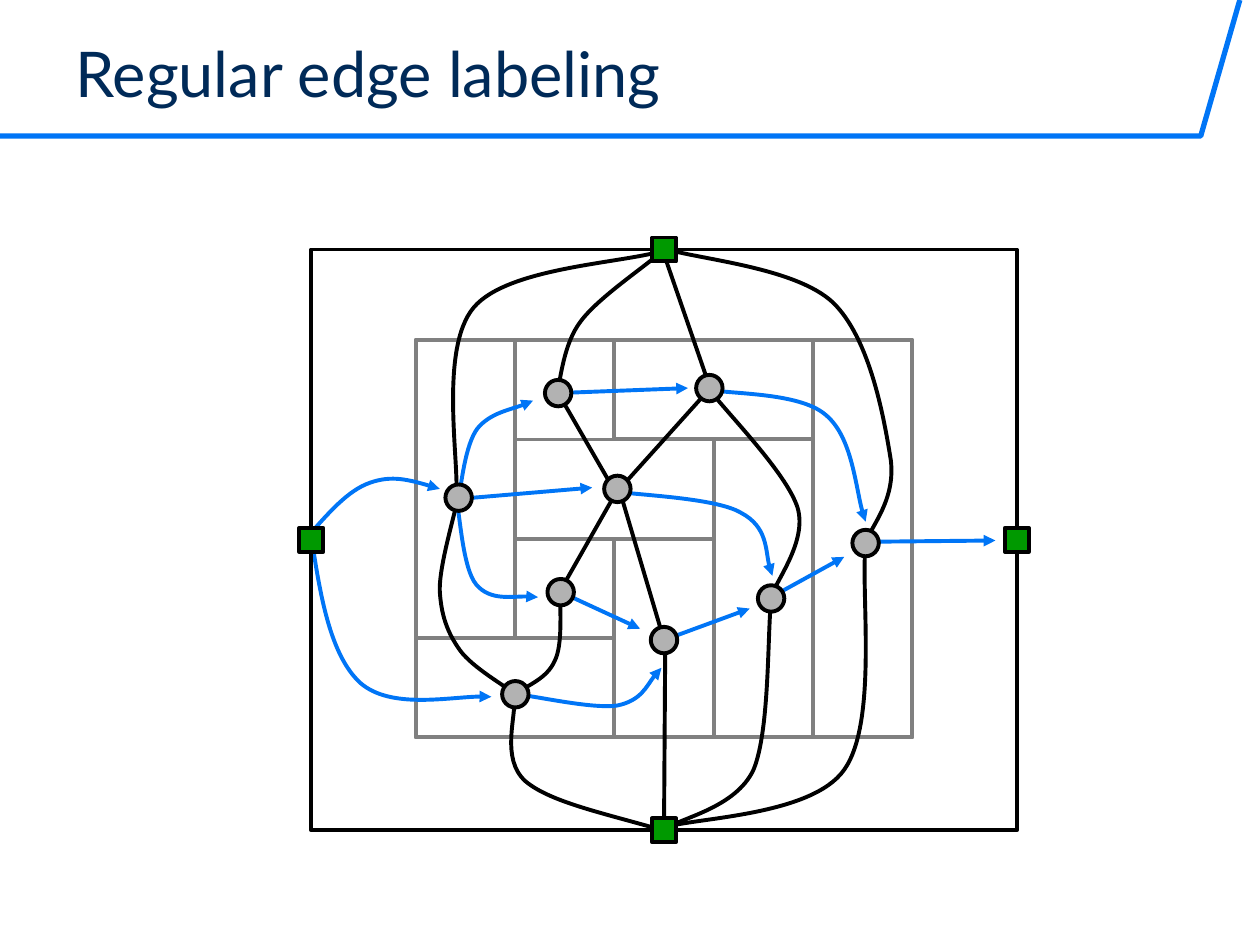
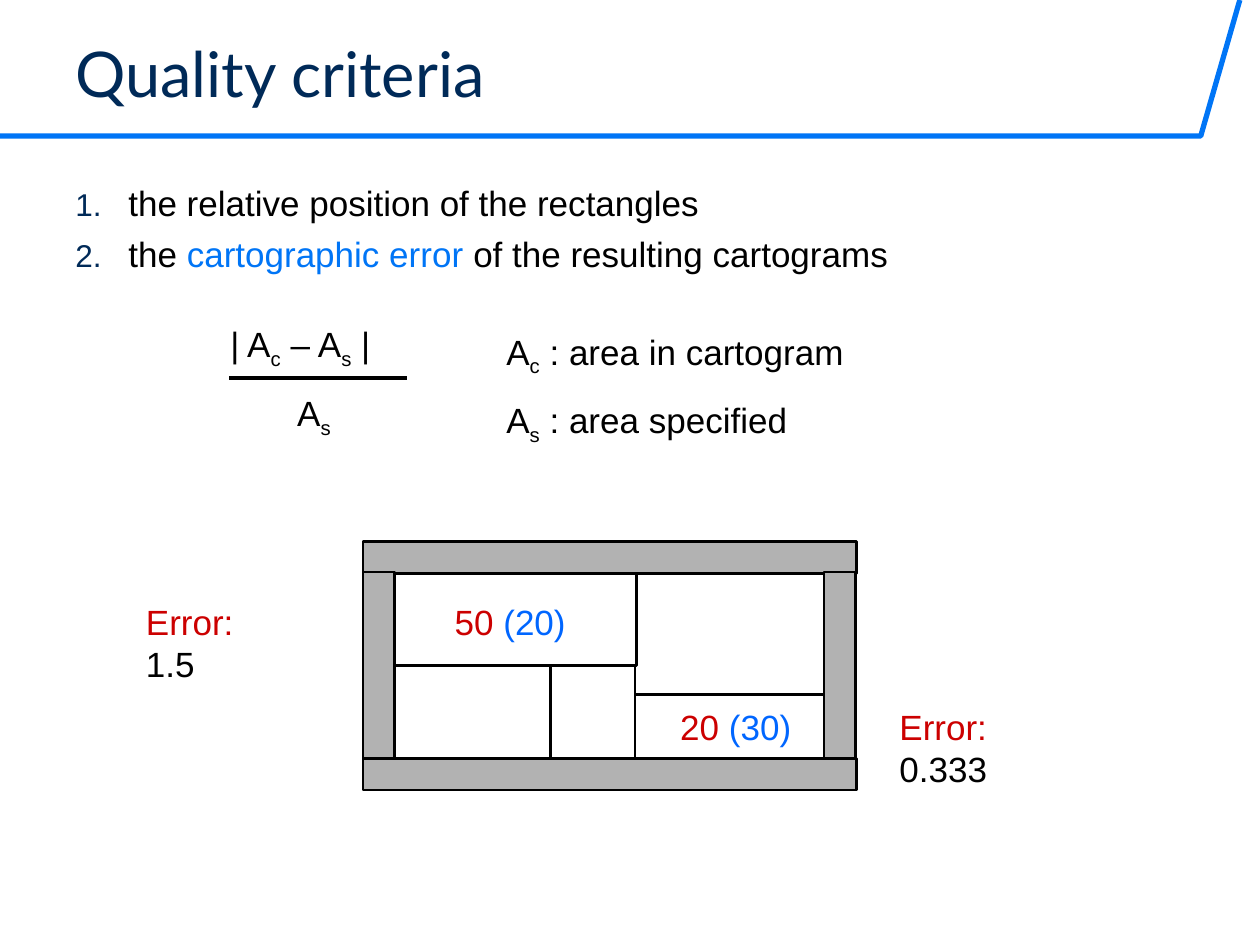
from typing import NamedTuple

from lxml import etree
from pptx import Presentation
from pptx import util as u
from pptx.dml.color import RGBColor
from pptx.enum import shapes, text
from pptx.oxml.ns import qn

NAVY = RGBColor(0x00, 0x2A, 0x58)
BLUE = RGBColor(0x00, 0x75, 0xF6)
SPECIFIED_BLUE = RGBColor(0x00, 0x66, 0xFF)
RED = RGBColor(0xCC, 0x00, 0x00)
GREEN = RGBColor(0x00, 0x99, 0x00)
BLACK = RGBColor(0x00, 0x00, 0x00)
WHITE = RGBColor(0xFF, 0xFF, 0xFF)
GRAY = RGBColor(0x80, 0x80, 0x80)
SILVER = RGBColor(0xB2, 0xB2, 0xB2)

TITLE_FONT = {"name": "Lato", "size": u.Pt(36)}
BODY_FONT = {"name": "Arial", "size": u.Pt(20)}
RECT = shapes.MSO_SHAPE.RECTANGLE
OVAL = shapes.MSO_SHAPE.OVAL
BREAK = "\v"

Point = tuple[float, float]


class Box(NamedTuple):
    left: float
    top: float
    width: float
    height: float

    def lengths(self) -> list[u.Inches]:
        return [u.Inches(side) for side in self]


class Run(NamedTuple):
    words: str
    color: RGBColor = BLACK
    subscript: bool = False


class Label(NamedTuple):
    box: Box
    paragraphs: list[list[Run]]
    gap: int = 0
    numbered: bool = False


# Regular edge labeling
DUAL = Box(3.3, 2.7, 3.94, 3.15)
CELL = DUAL.width / 5
# column, row, columns spanned, rows spanned
REGIONS = [
    (0, 3, 2, 1), (0, 0, 1, 3), (1, 2, 1, 1), (2, 2, 1, 2),
    (3, 1, 1, 3), (4, 0, 1, 4), (1, 1, 2, 1), (2, 0, 2, 1),
]
OUTER = Box(2.47, 1.98, 5.6, 4.61)
NODE_SIZE, GATE_SIZE = 0.21, 0.19
NODES = [
    (4.09, 5.51), (4.45, 4.7), (3.64, 3.95), (4.43, 3.12), (5.63, 3.08),
    (6.87, 4.31), (6.12, 4.75), (5.27, 5.08), (4.9, 3.88),
]
# Two points make a straight edge; otherwise a start and Bezier triples.
VERTICAL_EDGES = [
    [(5.26, 6.57), (5.5, 6.49), (6.44, 6.48), (6.7, 6.11),
     (6.97, 5.73), (6.83, 4.7), (6.87, 4.33)],
    [(5.3, 6.57), (5.41, 6.49), (5.84, 6.41), (5.98, 6.11),
     (6.11, 5.8), (6.09, 5.04), (6.12, 4.76)],
    [(5.27, 6.61), (5.28, 5.08)],
    [(5.26, 6.59), (4.82, 6.46), (4.37, 6.37), (4.17, 6.2),
     (3.97, 6.02), (4.1, 5.68), (4.08, 5.54)],
    [(4.09, 5.51), (4.02, 5.45), (3.75, 5.3), (3.65, 5.16), (3.55, 5.02),
     (3.5, 4.88), (3.49, 4.68), (3.49, 4.48), (3.6, 4.12), (3.63, 3.97)],
    [(4.08, 5.51), (4.21, 5.43), (4.34, 5.38), (4.4, 5.25),
     (4.47, 5.12), (4.44, 4.83), (4.45, 4.72)],
    [(6.12, 4.74), (6.15, 4.62), (6.41, 4.3), (6.33, 4.03),
     (6.24, 3.75), (5.77, 3.28), (5.62, 3.08)],
    [(4.88, 3.9), (4.43, 3.12)],
    [(4.44, 4.7), (4.9, 3.89)],
    [(5.27, 5.08), (4.92, 3.9)],
    [(4.9, 3.9), (5.62, 3.1)],
    [(6.88, 4.29), (6.91, 4.18), (7.11, 3.97), (7.07, 3.65), (7.02, 3.34),
     (6.91, 2.69), (6.61, 2.4), (6.31, 2.12), (5.55, 2.06), (5.26, 1.97)],
    [(5.64, 3.09), (5.26, 1.99)],
    [(4.42, 3.12), (4.45, 3.02), (4.47, 2.73), (4.61, 2.55),
     (4.75, 2.36), (5.13, 2.11), (5.26, 1.99)],
    [(3.62, 3.94), (3.65, 3.69), (3.48, 2.77), (3.76, 2.44),
     (4.03, 2.12), (4.94, 2.09), (5.26, 1.99)],
]
HORIZONTAL_ARROWS = [
    [(4.09, 5.51), (4.23, 5.52), (4.7, 5.63), (4.9, 5.6),
     (5.09, 5.56), (5.18, 5.36), (5.25, 5.3)],
    [(4.88, 3.9), (5.05, 3.93), (5.68, 3.95), (5.88, 4.07),
     (6.09, 4.18), (6.08, 4.47), (6.13, 4.57)],
    [(6.87, 4.3), (7.9, 4.29)],
    [(4.43, 4.69), (5.08, 4.99)],
    [(4.43, 3.12), (5.46, 3.08)],
    [(5.27, 5.08), (5.95, 4.83)],
    [(6.12, 4.74), (6.7, 4.42)],
    [(5.62, 3.09), (5.78, 3.13), (6.34, 3.11), (6.55, 3.29),
     (6.76, 3.46), (6.8, 3.97), (6.87, 4.14)],
    [(3.64, 3.95), (3.66, 3.86), (3.69, 3.53), (3.79, 3.4),
     (3.89, 3.28), (4.14, 3.23), (4.23, 3.18)],
    [(3.64, 3.96), (4.7, 3.87)],
    [(3.62, 3.96), (3.65, 4.07), (3.67, 4.51), (3.78, 4.64),
     (3.89, 4.77), (4.17, 4.72), (4.27, 4.74)],
    [(2.44, 4.26), (2.6, 4.08), (2.76, 3.89), (2.94, 3.83),
     (3.11, 3.77), (3.3, 3.82), (3.49, 3.88)],
    [(2.47, 4.25), (2.54, 4.72), (2.62, 5.2), (2.86, 5.42),
     (3.1, 5.63), (3.68, 5.51), (3.9, 5.53)],
]

# Quality criteria
SUB_C, SUB_S = Run("c", subscript=True), Run("s", subscript=True)
CRITERIA_LABELS = [
    Label(Box(0.5, 1.39, 8.92, 1), [
        [Run("the relative position of the rectangles")],
        [Run("the "), Run("cartographic error", BLUE),
         Run(" of the resulting cartograms")],
    ], gap=5, numbered=True),
    Label(Box(1.73, 2.51, 1.6, 0.43),
          [[Run("| A"), SUB_C, Run(" – A"), SUB_S, Run(" |")]]),
    Label(Box(2.26, 3.06, 0.7, 0.43), [[Run("A"), SUB_S]]),
    Label(Box(3.92, 2.57, 3.1, 0.95), [
        [Run("A"), SUB_C, Run(" : area in cartogram")],
        [Run("A"), SUB_S, Run(" : area specified")],
    ], gap=12),
    Label(Box(3.51, 4.72, 1.3, 0.43), [[Run("50 ", RED), Run("(20)", SPECIFIED_BLUE)]]),
    Label(Box(5.3, 5.55, 1.2, 0.43), [[Run("20 ", RED), Run("(30)", SPECIFIED_BLUE)]]),
    Label(Box(1.06, 4.72, 1.36, 0.77), [[Run("Error:", RED), Run(BREAK), Run("1.5")]]),
    Label(Box(7.04, 5.55, 1.66, 0.77), [[Run("Error:", RED), Run(BREAK), Run("0.333")]]),
]
LAND = [
    Box(3.13, 5.28, 1.24, 0.74), Box(4.37, 5.28, 0.68, 0.74),
    Box(5.04, 5.51, 1.5, 0.51), Box(5.04, 4.54, 1.5, 0.97),
    Box(3.13, 4.54, 1.92, 0.74),
]
SEA = [
    Box(2.88, 4.3, 3.92, 0.25), Box(2.88, 4.54, 0.25, 1.48),
    Box(6.54, 4.54, 0.25, 1.48), Box(2.88, 6.02, 3.92, 0.25),
]


def set_line(shape, color: RGBColor, weight: float) -> None:
    shape.line.color.rgb = color
    shape.line.width = u.Pt(weight)


def add_figure(slide, kind, box: Box, line: RGBColor, fill: RGBColor | None = None,
               weight: float = 2.25) -> None:
    figure = slide.shapes.add_shape(kind, *box.lengths())
    figure.shadow.inherit = False
    set_line(figure, line, weight)
    if fill is None:
        figure.fill.background()
    else:
        figure.fill.solid()
        figure.fill.fore_color.rgb = fill


def add_outline(slide, points: list[Point], color: RGBColor, weight: float):
    start, *rest = [(u.Inches(x), u.Inches(y)) for x, y in points]
    builder = slide.shapes.build_freeform(*start)
    builder.add_line_segments(rest, close=False)
    outline = builder.convert_to_shape()
    outline.fill.background()
    outline.shadow.inherit = False
    set_line(outline, color, weight)
    return outline


def bend(outline) -> None:
    """Turn each three straight segments into one cubic Bezier segment."""
    route = outline.element.find(".//" + qn("a:path"))
    segments = route.findall(qn("a:lnTo"))
    for first in range(0, len(segments), 3):
        curve = etree.SubElement(route, qn("a:cubicBezTo"))
        for segment in segments[first:first + 3]:
            curve.append(segment[0])
            route.remove(segment)


def add_straight(slide, start: Point, end: Point, color: RGBColor):
    straight = slide.shapes.add_connector(
        shapes.MSO_CONNECTOR.STRAIGHT, *[u.Inches(v) for v in (*start, *end)])
    set_line(straight, color, 2.25)
    etree.SubElement(straight.element.spPr, qn("a:effectLst"))
    return straight


def add_edge(slide, points: list[Point], color: RGBColor, arrow: bool) -> None:
    if len(points) == 2:
        edge = add_straight(slide, *points, color)
    else:
        edge = add_outline(slide, points, color, 2.25)
        bend(edge)
    if arrow:
        line = edge.element.spPr.find(qn("a:ln"))
        etree.SubElement(line, qn("a:tailEnd"), type="triangle")


def set_font(run, color: RGBColor, values: dict) -> None:
    for attribute, value in values.items():
        setattr(run.font, attribute, value)
    run.font.color.rgb = color


def add_number(paragraph) -> None:
    properties = paragraph._p.get_or_add_pPr()
    properties.set("marL", str(u.Inches(0.42)))
    properties.set("indent", str(-u.Inches(0.42)))
    color = etree.SubElement(properties, qn("a:buClr"))
    etree.SubElement(color, qn("a:srgbClr"), val=str(NAVY))
    etree.SubElement(properties, qn("a:buSzPct"), val="90000")
    etree.SubElement(properties, qn("a:buFont"), typeface="Arial")
    etree.SubElement(properties, qn("a:buAutoNum"), type="arabicPeriod")


def add_label(slide, label: Label, font: dict = BODY_FONT):
    frame = slide.shapes.add_textbox(*label.box.lengths()).text_frame
    frame.word_wrap = True
    for index, runs in enumerate(label.paragraphs):
        paragraph = frame.add_paragraph() if index else frame.paragraphs[0]
        if label.numbered:
            add_number(paragraph)
        if index:
            paragraph.space_before = u.Pt(label.gap)
        for part in runs:
            if part.words == BREAK:
                paragraph.add_line_break()
                continue
            run = paragraph.add_run()
            run.text = part.words
            set_font(run, part.color, font)
            if part.subscript:
                run._r.get_or_add_rPr().set("baseline", "-25000")
    return frame


def start_slide(deck, title: str):
    slide = deck.slides.add_slide(deck.slide_layouts[6])
    add_outline(slide, [(0, 1.08), (9.53, 1.08), (9.84, 0)], BLUE, 3)
    heading = Label(Box(0.5, 0.21, 9.28, 0.71), [[Run(title, NAVY)]])
    add_label(slide, heading, TITLE_FONT).vertical_anchor = text.MSO_ANCHOR.BOTTOM
    return slide


def centered(center: Point, size: float) -> Box:
    return Box(center[0] - size / 2, center[1] - size / 2, size, size)


def draw_edge_labeling(deck) -> None:
    slide = start_slide(deck, "Regular edge labeling")
    add_figure(slide, RECT, DUAL, GRAY)
    for column, row, columns, rows in REGIONS:
        region = Box(DUAL.left + column * CELL, DUAL.top + row * CELL,
                     columns * CELL, rows * CELL)
        add_figure(slide, RECT, region, GRAY)
    for points in VERTICAL_EDGES:
        add_edge(slide, points, BLACK, arrow=False)
    for points in HORIZONTAL_ARROWS:
        add_edge(slide, points, BLUE, arrow=True)
    add_figure(slide, RECT, OUTER, BLACK)
    for node in NODES:
        add_figure(slide, OVAL, centered(node, NODE_SIZE), BLACK, SILVER)
    for across, down in [(0.5, 0), (0.5, 1), (0, 0.5), (1, 0.5)]:
        gate = (OUTER.left + across * OUTER.width, OUTER.top + down * OUTER.height)
        add_figure(slide, RECT, centered(gate, GATE_SIZE), BLACK, GREEN)


def draw_quality_criteria(deck) -> None:
    slide = start_slide(deck, "Quality criteria")
    for boxes, fill in ((LAND, WHITE), (SEA, SILVER)):
        for box in boxes:
            add_figure(slide, RECT, box, BLACK, fill, weight=1.5)
    add_straight(slide, (1.82, 3), (3.23, 3), BLACK)
    for label in CRITERIA_LABELS:
        add_label(slide, label)


def main() -> None:
    deck = Presentation()
    deck.slide_width, deck.slide_height = u.Inches(10), u.Inches(7.5)
    draw_edge_labeling(deck)
    draw_quality_criteria(deck)
    deck.save("out.pptx")


if __name__ == "__main__":
    main()
